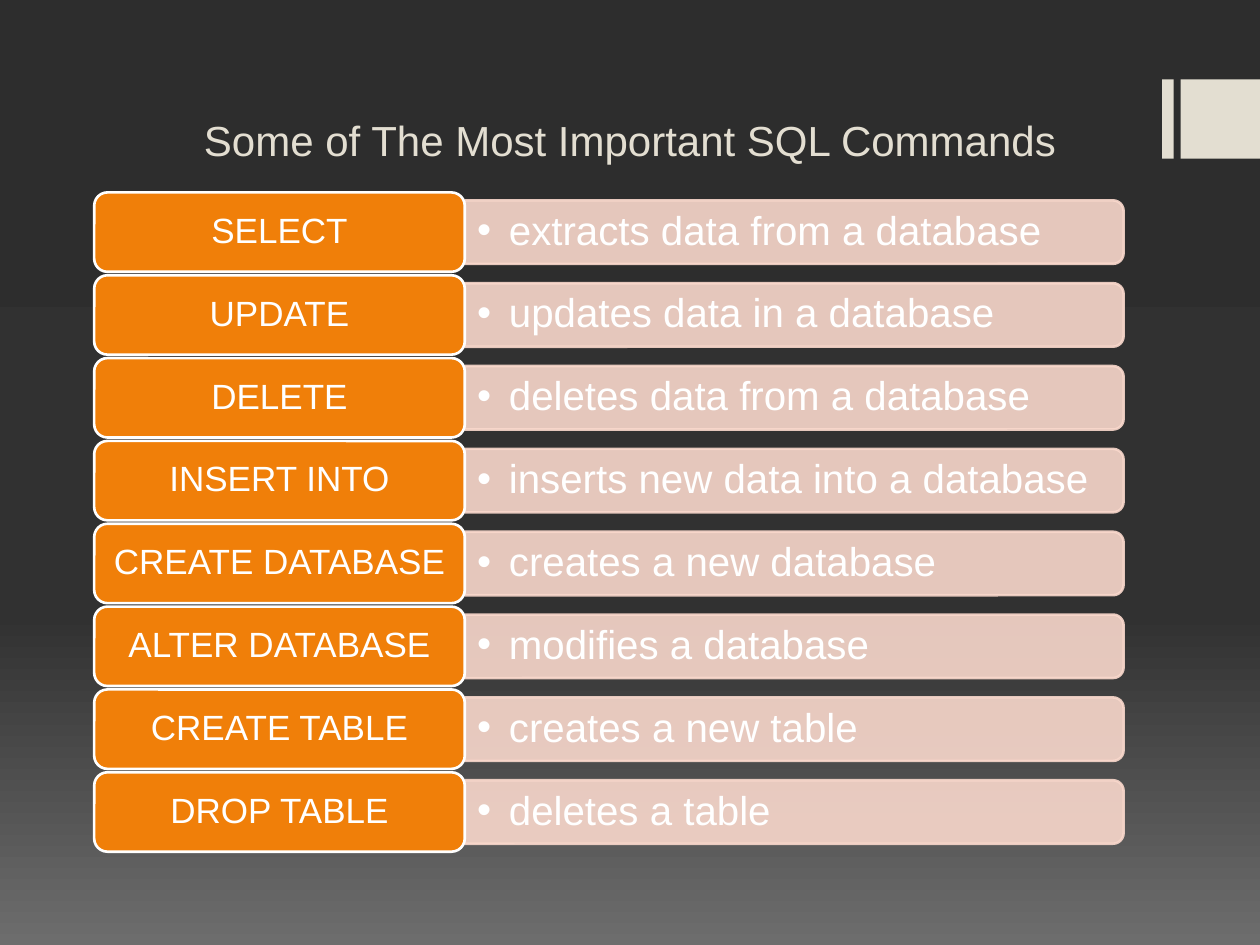
from copy import deepcopy

from lxml.etree import SubElement
from pptx import Presentation
from pptx.dml.color import RGBColor
from pptx.enum.shapes import MSO_SHAPE
from pptx.enum.text import MSO_ANCHOR, PP_ALIGN
from pptx.oxml.ns import qn
from pptx.util import Cm, Pt

COMMANDS = [
    ("SELECT", "extracts data from a database"),
    ("UPDATE", "updates data in a database"),
    ("DELETE", "deletes data from a database"),
    ("INSERT INTO", "inserts new data into a database"),
    ("CREATE DATABASE", "creates a new database"),
    ("ALTER DATABASE", "modifies a database"),
    ("CREATE TABLE", "creates a new table"),
    ("DROP TABLE", "deletes a table"),
]


def color(value):
    return RGBColor.from_string(value)


class CommandSlide:
    font = "Arial"
    cream = "E3DED1"
    orange = "F07F09"
    pink = "F9D8CC"
    white = "FFFFFF"
    backdrop = [(0, "2D2D2D"), (0.65, "313131"), (1, "6D6D6D")]

    def __init__(self, deck):
        self.slide = deck.slides.add_slide(deck.slide_layouts[5])

    def background(self):
        fill = self.slide.background.fill
        fill.gradient()
        fill.gradient_angle = 270
        last_stop = fill.gradient_stops[1]._gs
        last_stop.addprevious(deepcopy(last_stop))
        for stop, (position, shade) in zip(fill.gradient_stops, self.backdrop):
            stop.position = position
            stop.color.rgb = color(shade)

    def set_text(self, frame, text, size, shade, align, anchor=MSO_ANCHOR.MIDDLE):
        frame.text = text
        frame.word_wrap = True
        frame.vertical_anchor = anchor
        paragraph = frame.paragraphs[0]
        paragraph.alignment = align
        font = paragraph.runs[0].font
        font.name = self.font
        font.size = Pt(size)
        font.color.rgb = color(shade)
        return paragraph

    def title(self, text, left, top, width, height):
        heading = self.slide.shapes.title
        heading.left, heading.top = Cm(left), Cm(top)
        heading.width, heading.height = Cm(width), Cm(height)
        self.set_text(heading.text_frame, text, 24, self.cream,
                      PP_ALIGN.CENTER, MSO_ANCHOR.BOTTOM)

    def block(self, preset, left, top, width, height, fill, line=None):
        block = self.slide.shapes.add_shape(
            preset, Cm(left), Cm(top), Cm(width), Cm(height))
        block.shadow.inherit = False
        block.fill.solid()
        block.fill.fore_color.rgb = color(fill)
        if line:
            block.line.color.rgb = color(line)
            block.line.width = Pt(1.5)
        else:
            block.line.fill.background()
        return block

    def bar(self, left, middle, length, thickness):
        bar = self.block(
            MSO_SHAPE.ROUND_2_SAME_RECTANGLE,
            left + (length - thickness) / 2, middle - length / 2,
            thickness, length, self.pink, self.pink)
        bar.rotation = 90
        for tint in bar._element.spPr.iter(qn("a:srgbClr")):
            SubElement(tint, qn("a:alpha"), val="90000")

    def description(self, text, left, middle, width, height):
        box = self.slide.shapes.add_textbox(
            Cm(left), Cm(middle - height / 2), Cm(width), Cm(height))
        paragraph = self.set_text(box.text_frame, text, 23, self.white, PP_ALIGN.LEFT)
        paragraph.level = 1
        paragraph.line_spacing = 0.9
        properties = paragraph._p.get_or_add_pPr()
        properties.set("marL", str(Cm(0.64)))
        properties.set("indent", str(Cm(-0.64)))
        SubElement(properties, qn("a:buFont"), typeface=self.font)
        SubElement(properties, qn("a:buChar"), char="•")

    def label(self, text, left, middle, width, height):
        label = self.block(MSO_SHAPE.ROUNDED_RECTANGLE, left, middle - height / 2,
                           width, height, self.orange, self.white)
        frame = label.text_frame
        frame.margin_left = frame.margin_right = Cm(0.2)
        frame.margin_top = frame.margin_bottom = Cm(0.1)
        paragraph = self.set_text(frame, text, 20, self.white, PP_ALIGN.CENTER)
        paragraph.line_spacing = 0.9


def main():
    deck = Presentation()
    deck.slide_width, deck.slide_height = Cm(25.4), Cm(19.05)
    page = CommandSlide(deck)
    page.background()
    for left, width in ((23.43, 0.23), (23.8, 1.6)):
        page.block(MSO_SHAPE.RECTANGLE, left, 1.6, width, 1.6, page.cream)
    page.title("Some of The Most Important SQL Commands", 2.54, 1.47, 20.32, 1.98)

    label_left, label_width = 1.9, 7.47
    bar_left = label_left + label_width
    first_middle, row_pitch = 4.68, 1.67
    for row, (command, effect) in enumerate(COMMANDS):
        middle = first_middle + row * row_pitch
        page.bar(bar_left, middle, 13.28, 1.28)
        page.description(effect, bar_left, middle, 13.21, 1.15)
        page.label(command, label_left, middle, label_width, 1.6)
    deck.save("out.pptx")


if __name__ == "__main__":
    main()
